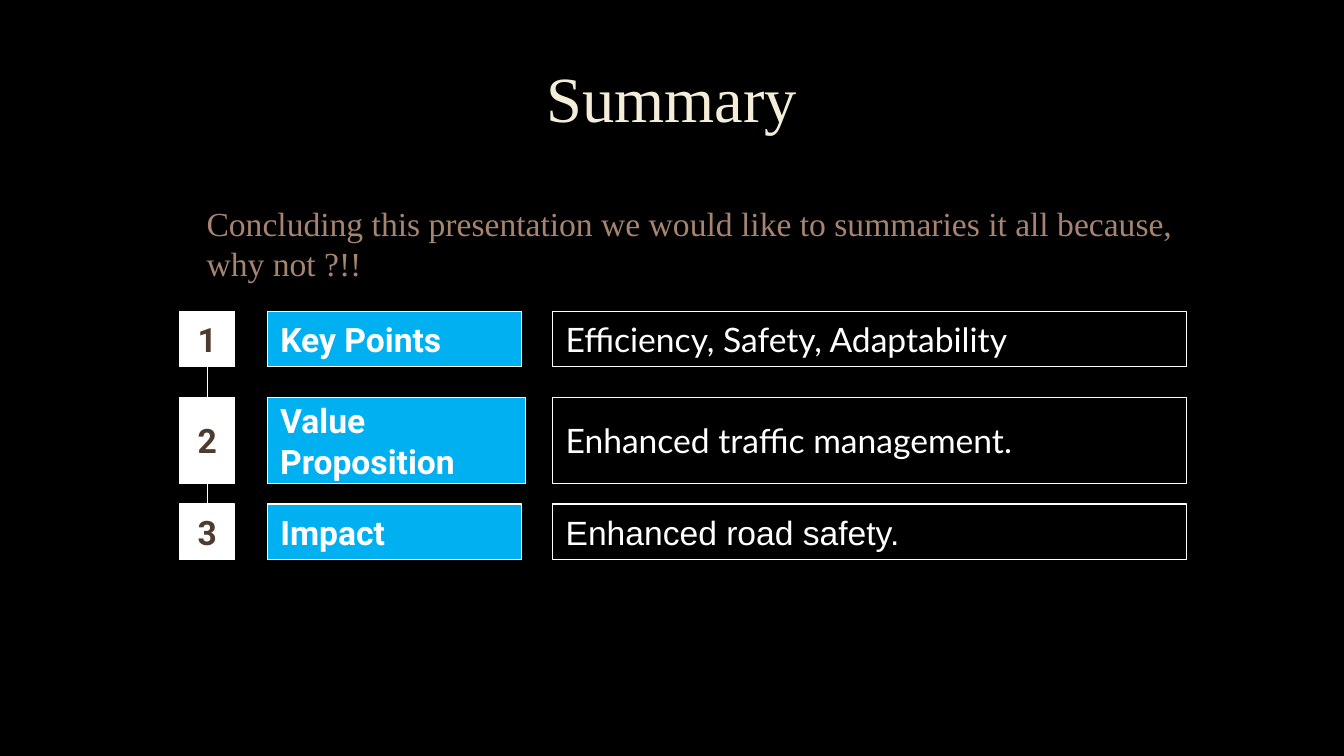
from pptx import Presentation
from pptx.dml.color import RGBColor
from pptx.enum.shapes import MSO_CONNECTOR, MSO_SHAPE
from pptx.enum.text import MSO_ANCHOR, PP_ALIGN
from pptx.oxml.ns import qn
from pptx.util import Inches, Pt
from lxml import etree

# Content
TITLE = "Summary"
INTRO = ("Concluding this presentation we would like to summaries it all "
         "because, why not ?!!")
# top, height, label width, label, detail, detail font
ROWS = [
    (3.09, 0.55, 2.52, "Key Points", "Efficiency, Safety, Adaptability", "Lato"),
    (3.94, 0.86, 2.56, "Value Proposition", "Enhanced traffic management.", "Lato"),
    (5.00, 0.55, 2.52, "Impact", "Enhanced road safety.", "Arial"),
]

# Column places
NUM_X, NUM_W = 1.78, 0.55
LABEL_X = 2.65
TEXT_X, TEXT_W = 5.48, 6.29
PAD = 0.13

# Style
BLACK = RGBColor(0x00, 0x00, 0x00)
WHITE = RGBColor(0xFF, 0xFF, 0xFF)
BLUE = RGBColor(0x00, 0xB0, 0xF0)
BROWN = RGBColor(0x4E, 0x3B, 0x30)
CREAM = RGBColor(0xF4, 0xED, 0xD8)
TAN = RGBColor(0xA7, 0x84, 0x70)
SERIF, SANS = "Times New Roman", "Roboto"
LEFT, CENTER = PP_ALIGN.LEFT, PP_ALIGN.CENTER
TOP, MIDDLE = MSO_ANCHOR.TOP, MSO_ANCHOR.MIDDLE
RECT, STRAIGHT = MSO_SHAPE.RECTANGLE, MSO_CONNECTOR.STRAIGHT


def write(shape, text, font, size, color, bold=False, align=LEFT,
          anchor=MIDDLE, pad=PAD):
    frame = shape.text_frame
    frame.word_wrap = True
    frame.vertical_anchor = anchor
    frame.margin_left = frame.margin_right = Inches(pad)
    frame.margin_top = frame.margin_bottom = Inches(min(pad, PAD) if pad == PAD else 0.05)
    para = frame.paragraphs[0]
    para.text = text
    para.alignment = align
    para.font.name = font
    para.font.size = Pt(size)
    para.font.bold = bold
    para.font.color.rgb = color
    return para


def box(x, y, w, h, fill, text, font, color, bold, align=LEFT):
    shape = slide.shapes.add_shape(RECT, Inches(x), Inches(y), Inches(w), Inches(h))
    shape.shadow.inherit = False
    shape.fill.solid()
    shape.fill.fore_color.rgb = fill
    shape.line.color.rgb = WHITE
    shape.line.width = Pt(0.75)
    write(shape, text, font, 24, color, bold, align)
    return shape


def join(upper, lower):
    line = slide.shapes.add_connector(STRAIGHT, 0, 0, 0, 0)
    line.begin_connect(upper, 2)
    line.end_connect(lower, 0)
    line.line.color.rgb = WHITE
    line.line.width = Pt(0.75)
    etree.SubElement(line._element.spPr, qn("a:effectLst"))


prs = Presentation()
prs.slide_width, prs.slide_height = Inches(13.33), Inches(7.5)
slide = prs.slides.add_slide(prs.slide_layouts[6])
slide.background.fill.solid()
slide.background.fill.fore_color.rgb = BLACK

# Title and intro
title = slide.shapes.add_textbox(Inches(1.05), Inches(0.53), Inches(11.23), Inches(0.84))
head = write(title, TITLE, SERIF, 46, CREAM, align=CENTER, anchor=TOP)
head.line_spacing = 0.9
intro = slide.shapes.add_textbox(Inches(1.95), Inches(1.96), Inches(9.82), Inches(0.91))
write(intro, INTRO, SERIF, 24, TAN, anchor=TOP, pad=0.1)

# Numbered rows
nums = []
for num, (y, h, wide, label, text, font) in enumerate(ROWS, 1):
    nums.append(box(NUM_X, y, NUM_W, h, WHITE, str(num), SANS, BROWN, True, CENTER))
    box(LABEL_X, y, wide, h, BLUE, label, SANS, WHITE, True)
    box(TEXT_X, y, TEXT_W, h, BLACK, text, font, WHITE, False)

# Links between the numbers
for upper, lower in zip(nums, nums[1:]):
    join(upper, lower)

prs.save("out.pptx")
